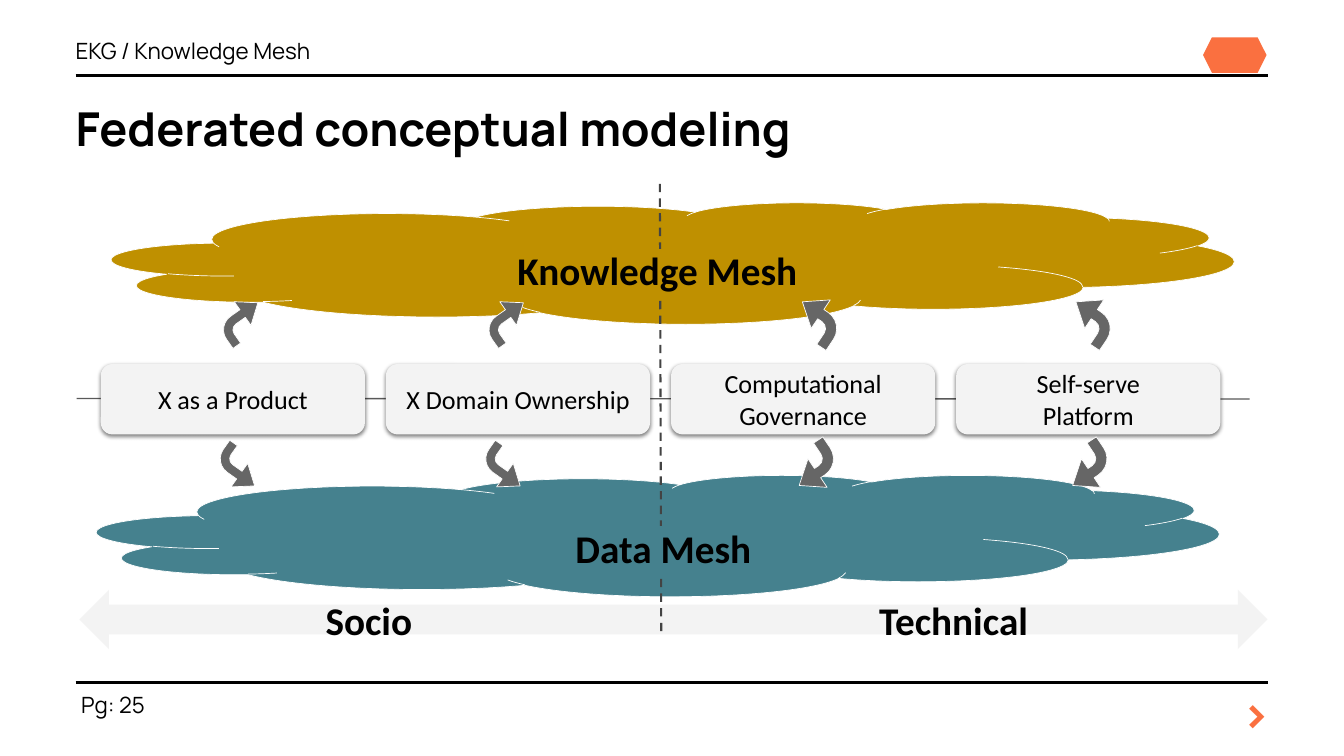
import pptx
import pptx.util
import pptx.dml.color
import pptx.enum.dml
import pptx.enum.shapes
import pptx.enum.text
import pptx.oxml.ns
from lxml import etree

Pt = pptx.util.Pt
SHAPE = pptx.enum.shapes.MSO_SHAPE
ALIGN = pptx.enum.text.PP_ALIGN
ANCHOR = pptx.enum.text.MSO_ANCHOR
qn = pptx.oxml.ns.qn

COLORS = {
    "ink": "000000", "white": "FFFFFF", "orange": "FA7040", "panel": "F3F3F3",
    "axis": "595959", "divider": "434343", "arrow": "666666",
    "knowledge": "BF9000", "data": "45818E",
}


def rgb(name):
    return pptx.dml.color.RGBColor.from_string(COLORS[name])


class Deck:
    """Holds the fonts and the current slide, and draws its elements."""
    heading_font = "Manrope"
    label_font = "Calibri"

    def __init__(self, slide):
        self.s = slide

    def set_text(self, sp, paragraphs, size, font, color="ink", bold=False, align=ALIGN.LEFT,
                 anchor=ANCHOR.TOP, inset=0, spacing=None, highlight=None):
        tf = sp.text_frame
        tf.word_wrap = True
        tf.auto_size = pptx.enum.text.MSO_AUTO_SIZE.NONE
        tf.vertical_anchor = anchor
        tf.margin_left = tf.margin_right = tf.margin_top = tf.margin_bottom = Pt(inset)
        for i, text in enumerate(paragraphs):
            p = tf.add_paragraph() if i else tf.paragraphs[0]
            r = p.add_run()
            r.text = text
            p.alignment = align
            if spacing:
                p.line_spacing = Pt(spacing)
            p.font.name, p.font.size, p.font.bold = font, Pt(size), bold
            p.font.color.rgb = rgb(color)
            if highlight:
                mark = etree.SubElement(r._r.get_or_add_rPr(), qn("a:highlight"))
                etree.SubElement(mark, qn("a:srgbClr"), val=COLORS[highlight])

    def title(self, text, x, y, w, h):
        sp = self.s.shapes.title
        sp.left, sp.top, sp.width, sp.height = Pt(x), Pt(y), Pt(w), Pt(h)
        self.set_text(sp, [text], 50, self.heading_font, bold=True, spacing=70)

    def text(self, text, x, y, w, h, size, font, **style):
        sp = self.s.shapes.add_textbox(Pt(x), Pt(y), Pt(w), Pt(h))
        self.set_text(sp, [text], size, font, **style)

    def label(self, text, x, y, w, h, **style):
        self.text(text, x, y, w, h, 42, self.label_font, bold=True,
                  align=ALIGN.CENTER, inset=14.4, **style)

    def shape(self, kind, x, y, w, h, fill, outline=None):
        sp = self.s.shapes.add_shape(kind, Pt(x), Pt(y), Pt(w), Pt(h))
        sp.shadow.inherit = False
        sp.fill.solid()
        sp.fill.fore_color.rgb = rgb(fill)
        if outline:
            sp.line.color.rgb = rgb(outline)
            sp.line.width = Pt(0.75)
        else:
            sp.line.fill.background()
        return sp

    def card(self, paragraphs, x, y, w, h):
        sp = self.shape(SHAPE.ROUNDED_RECTANGLE, x, y, w, h, "panel")
        effects = sp._element.spPr.find(qn("a:effectLst"))
        shadow = etree.SubElement(effects, qn("a:outerShdw"), blurRad=str(Pt(4.5)),
                                  dist=str(Pt(1.5)), dir="5400000", rotWithShape="0")
        tint = etree.SubElement(shadow, qn("a:srgbClr"), val=COLORS["ink"])
        etree.SubElement(tint, qn("a:alpha"), val="50000")
        self.set_text(sp, paragraphs, 28, self.label_font, align=ALIGN.CENTER,
                      anchor=ANCHOR.MIDDLE, inset=14.4)

    def bent_arrow(self, x, y, w, h, rotation, flip):
        sp = self.shape(SHAPE.BENT_ARROW, x, y, w, h, "arrow", "white")
        for i, value in enumerate((0.25, 0.387, 0.5, 0.438)):
            sp.adjustments[i] = value
        sp.rotation = rotation
        if flip:
            sp._element.spPr.find(qn("a:xfrm")).set("flipH", "1")

    def line(self, x1, y1, x2, y2, color, width, dashed=False):
        c = self.s.shapes.add_connector(pptx.enum.shapes.MSO_CONNECTOR.STRAIGHT,
                                        Pt(x1), Pt(y1), Pt(x2), Pt(y2))
        c.line.color.rgb = rgb(color)
        c.line.width = Pt(width)
        if dashed:
            c.line.dash_style = pptx.enum.dml.MSO_LINE.DASH
        etree.SubElement(c._element.spPr, qn("a:effectLst"))


def main():
    prs = pptx.Presentation()
    prs.slide_width, prs.slide_height = Pt(1440), Pt(810)
    d = Deck(prs.slides.add_slide(prs.slide_layouts[5]))

    # Page frame: rules, header, title and footer
    for y in (81, 731):
        d.line(81, y, 1359, y, "ink", 3)
    d.shape(SHAPE.HEXAGON, 1289, 40, 68, 38, "orange")
    d.text(">", 1329, 722, 30, 71, 52, d.heading_font, color="orange", bold=True,
           align=ALIGN.CENTER, spacing=72.8)
    d.text("Pg: 25", 87, 740, 87, 29, 24, d.heading_font)
    d.title("Federated conceptual modeling", 81, 97, 1276, 66)
    d.text("EKG / Knowledge Mesh", 81, 34.5, 353, 32, 24, d.heading_font, spacing=33.6)

    # Socio-technical band and the row of principles
    d.shape(SHAPE.LEFT_RIGHT_ARROW, 85, 632, 1273, 63.5, "panel")
    d.line(82, 427, 1339, 427.5, "axis", 1.5)
    principles = (["X as a Product"], ["X Domain Ownership"],
                  ["Computational Governance"], ["Self-serve", "Platform"])
    for i, paragraphs in enumerate(principles):
        d.card(paragraphs, 108 + 305.5 * i, 390, 283, 75.5)

    # Clouds, the dashed divider over them, then the labels
    d.shape(SHAPE.CLOUD, 120, 217, 1202, 130, "knowledge", "white")
    d.shape(SHAPE.CLOUD, 104, 509, 1202, 130, "data", "white")
    d.line(707, 197, 708.5, 682.5, "divider", 2.25, dashed=True)
    d.label("Knowledge Mesh", 505.5, 250, 397.5, 80, highlight="knowledge")
    d.label("Data Mesh", 512, 547, 397.5, 80, highlight="data")
    for text, x in (("Socio", 82), ("Technical", 708.5)):
        d.label(text, x, 639.5, 626.5, 49.5, anchor=ANCHOR.MIDDLE)

    # Bent arrows: up to the knowledge mesh, down to the data mesh
    for x, y, h, tilt, right in ((233.5, 322.5, 40, -35.3, False), (518, 322.5, 40, -35.3, False),
                                 (852.5, 318, 47.5, 33.8, True), (1145.5, 318, 47.5, 33.8, True)):
        d.bent_arrow(x, y, 50, h, tilt % 360, right)
        d.bent_arrow(x - 3.5, y + 160, 50, h, 180 - tilt, not right)

    prs.save("out.pptx")


if __name__ == "__main__":
    main()
